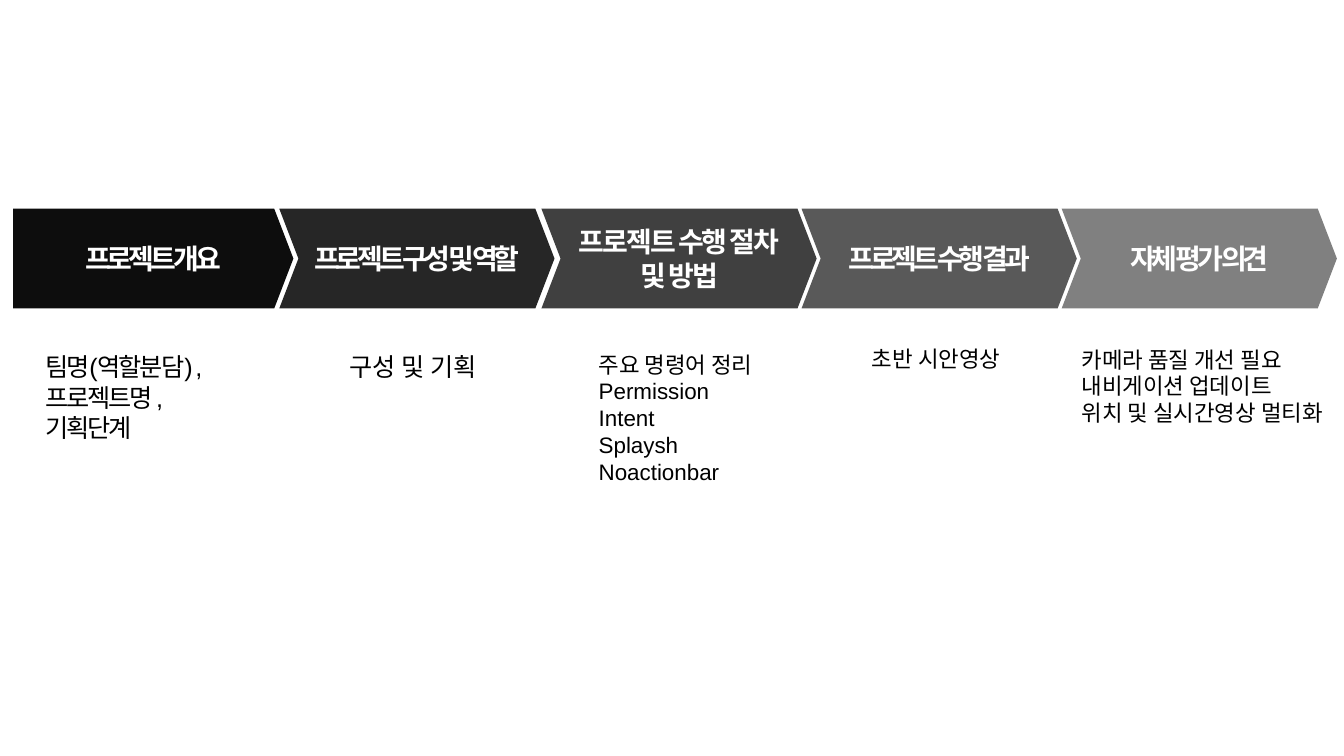
import pptx
import pptx.util
import pptx.dml.color
import pptx.enum.text
import pptx.oxml.ns

Inches = pptx.util.Inches
Pt = pptx.util.Pt
RGBColor = pptx.dml.color.RGBColor

WHITE = RGBColor(0xFF, 0xFF, 0xFF)
BLACK = RGBColor(0x00, 0x00, 0x00)
STEP_SHADES = [RGBColor(level, level, level)
               for level in (0x0D, 0x26, 0x40, 0x59, 0x80)]

HEADING_FONT = "Noto Sans CJK KR"
NOTE_FONT = "Arial"

BAND_TOP, BAND_HEIGHT = 2.07, 0.99
TIP = 0.19

# Heading, (left, width), letter spacing in points
STEPS = [
    ("프로젝트 개요", (0.13, 2.78), -3),
    ("프로젝트 구성 및 역할", (2.77, 2.73), -3),
    ("프로젝트 수행 절차\n및 방법", (5.37, 2.73), -1.5),
    ("프로젝트 수행 결과", (7.95, 2.73), -3),
    ("자체 평가 의견", (10.53, 2.73), -3),
]

# Text, (left, top, width, height), size, letter spacing in points
NOTES = [
    ("팀명(역할분담) ,\n프로젝트명 ,\v기획단계", (0.35, 3.44, 2.34, 1.01), 18, -1.5),
    ("구성 및 기획", (3.37, 3.44, 1.53, 0.4), 18, 0),
    ("주요 명령어 정리\nPermission\nIntent\nSplaysh\nNoactionbar",
     (5.84, 3.43, 1.8, 1.45), 16, 0),
    ("초반 시안영상", (8.55, 3.38, 1.53, 0.37), 16, 0),
    ("카메라 품질 개선 필요\n내비게이션 업데이트\n위치 및 실시간영상 멀티화",
     (10.63, 3.38, 2.71, 0.91), 16, 0),
]


def format_text(frame, font_name, size, color, spacing, bold=False):
    """Format every run, with letter spacing and the East Asian font."""
    for paragraph in frame.paragraphs:
        for run in paragraph.runs:
            run.font.name = font_name
            run.font.size = Pt(size)
            run.font.bold = bold
            run.font.color.rgb = color
            properties = run.font._element
            if spacing:
                properties.set("spc", str(int(spacing * 100)))
            if font_name == HEADING_FONT:
                latin = properties.find(pptx.oxml.ns.qn("a:latin"))
                east_asian = pptx.oxml.parse_xml(
                    f'<a:ea {pptx.oxml.ns.nsdecls("a")} typeface="{font_name}"/>')
                latin.addnext(east_asian)


def add_step(slide, heading, box, shade, spacing, notched):
    """Draw one arrow of the band; all but the first have a notch."""
    left, top, width, height = box
    right, middle, bottom = left + width, top + height / 2, top + height
    points = [(left, bottom), (right - TIP, bottom), (right, middle),
              (right - TIP, top)]
    if notched:
        points.insert(0, (left + TIP, middle))
    builder = slide.shapes.build_freeform(Inches(left), Inches(top))
    builder.add_line_segments([(Inches(x), Inches(y)) for x, y in points])
    step = builder.convert_to_shape()
    step.shadow.inherit = False
    step.fill.solid()
    step.fill.fore_color.rgb = shade
    step.line.fill.background()

    frame = step.text_frame
    frame.margin_left = frame.margin_right = Inches(0.1)
    frame.margin_top = frame.margin_bottom = Inches(0.1)
    frame.word_wrap = True
    frame.vertical_anchor = pptx.enum.text.MSO_ANCHOR.MIDDLE
    frame.text = heading
    for paragraph in frame.paragraphs:
        paragraph.alignment = pptx.enum.text.PP_ALIGN.CENTER
    format_text(frame, HEADING_FONT, 20, WHITE, spacing, bold=True)


def add_note(slide, text, box, size, spacing):
    """Write the details below one step."""
    note = slide.shapes.add_textbox(*(Inches(length) for length in box))
    frame = note.text_frame
    frame.word_wrap = True
    frame.text = text
    format_text(frame, NOTE_FONT, size, BLACK, spacing)


def main():
    presentation = pptx.Presentation()
    presentation.slide_width = Inches(13.33)
    presentation.slide_height = Inches(7.5)
    slide = presentation.slides.add_slide(presentation.slide_layouts[6])

    # Band of steps
    for index, (heading, (left, width), spacing) in enumerate(STEPS):
        add_step(slide, heading, (left, BAND_TOP, width, BAND_HEIGHT),
                 STEP_SHADES[index], spacing, notched=index > 0)

    # Details below the steps
    for text, box, size, spacing in NOTES:
        add_note(slide, text, box, size, spacing)

    presentation.save("out.pptx")


if __name__ == "__main__":
    main()
